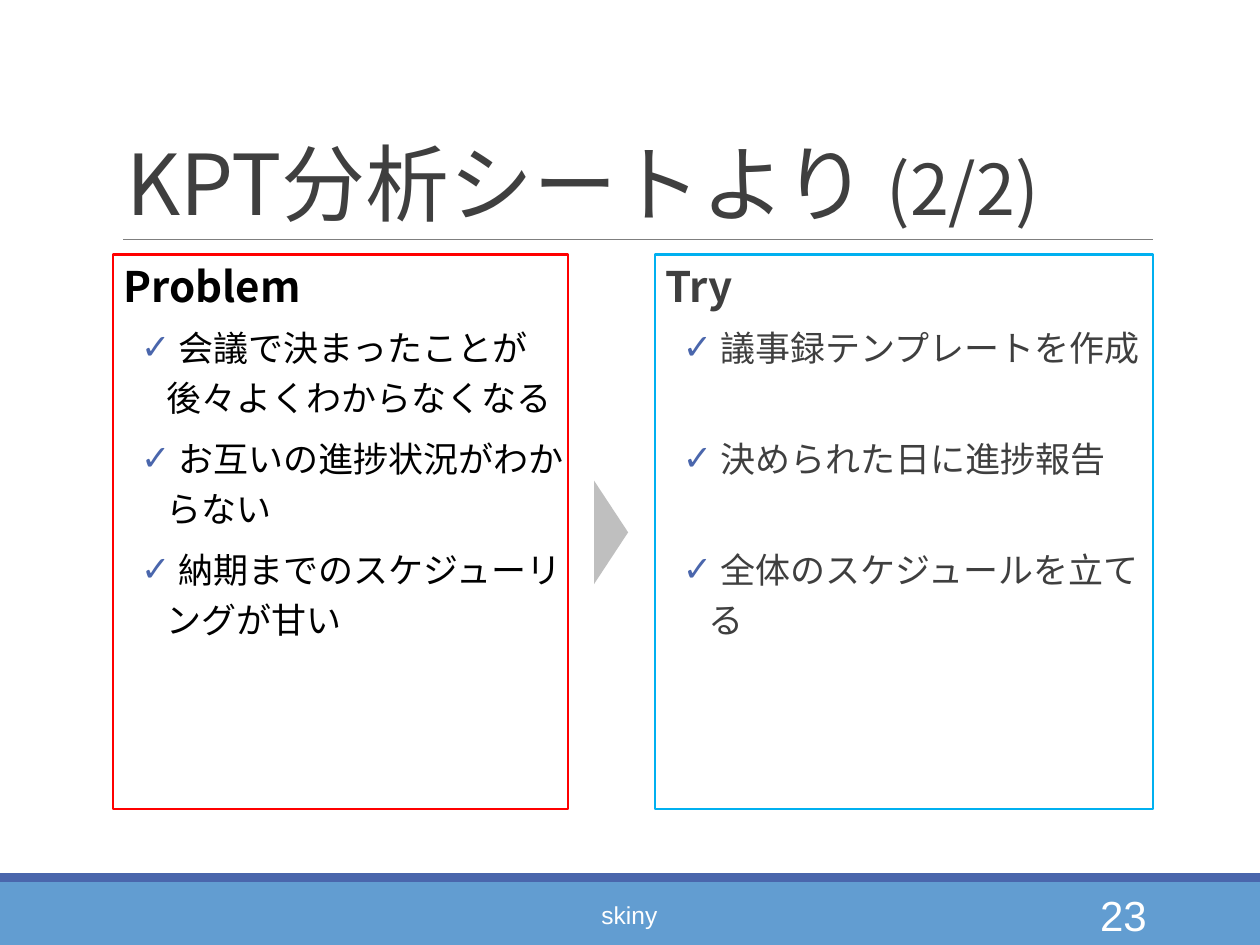
from lxml.etree import SubElement
from pptx import Presentation
from pptx.dml.color import RGBColor
from pptx.enum.shapes import MSO_CONNECTOR, MSO_SHAPE
from pptx.enum.text import MSO_ANCHOR, MSO_AUTO_SIZE, PP_ALIGN
from pptx.oxml.ns import qn
from pptx.util import Inches, Pt

BLACK = RGBColor(0x00, 0x00, 0x00)
DARK = RGBColor(0x3F, 0x3F, 0x3F)
GRAY = RGBColor(0x7F, 0x7F, 0x7F)
LIGHT_GRAY = RGBColor(0xBF, 0xBF, 0xBF)
WHITE = RGBColor(0xFF, 0xFF, 0xFF)
RED = RGBColor(0xFF, 0x00, 0x00)
CYAN = RGBColor(0x00, 0xB0, 0xF0)
BLUE = RGBColor(0x62, 0x9D, 0xD1)
NAVY = RGBColor(0x4A, 0x66, 0xAC)

JAPANESE = "Noto Sans CJK JP"
LATIN = "Arial"
LINE = 28.7

TITLE = [("KPT分析シートより ", 48), ("(2/2)", 40)]
# "gap" is the extra room in points that keeps each Try level with its Problem.
PANELS = [
    {"heading": "Problem", "left": 0.9, "width": 3.61, "border": RED, "color": BLACK, "gap": 0,
     "items": ["会議で決まったことが後々よくわからなくなる",
               "お互いの進捗状況がわからない",
               "納期までのスケジューリングが甘い"]},
    {"heading": "Try", "left": 5.2, "width": 3.95, "border": CYAN, "color": DARK, "gap": LINE,
     "items": ["議事録テンプレートを作成",
               "決められた日に進捗報告",
               "全体のスケジュールを立てる"]},
]
BANDS = [(7, 0.5, BLUE), (6.93, 0.07, NAVY)]
FOOTERS = [("skiny", 3.02, 3.95, 14, PP_ALIGN.CENTER),
           ("23", 8.12, 1.08, 24, PP_ALIGN.RIGHT)]


def add_text(paragraph, text, size, color, font=JAPANESE, bold=False):
    run = paragraph.add_run()
    run.text = text
    run.font.size = Pt(size)
    run.font.bold = bold
    run.font.color.rgb = color
    run.font.name = font
    SubElement(run.font._element, qn("a:ea"), typeface=font)


def place(shape, left, top, width, height):
    shape.left, shape.top = Inches(left), Inches(top)
    shape.width, shape.height = Inches(width), Inches(height)


def set_layout(paragraph, margin, indent, after, before=0, bullet=None):
    """Set indents, spacing and bullet of a list paragraph."""
    paragraph.line_spacing = Pt(LINE)
    paragraph.space_before = Pt(before)
    paragraph.space_after = Pt(after)
    properties = paragraph._p.get_or_add_pPr()
    properties.set("marL", str(Inches(margin)))
    properties.set("indent", str(Inches(indent)))
    if bullet:
        color = SubElement(properties, qn("a:buClr"))
        SubElement(color, qn("a:srgbClr"), val=str(NAVY))
        SubElement(properties, qn("a:buChar"), char=bullet)
    else:
        SubElement(properties, qn("a:buNone"))


def add_filled(slide, kind, left, top, width, height, color):
    shape = slide.shapes.add_shape(kind, Inches(left), Inches(top), Inches(width), Inches(height))
    shape.shadow.inherit = False
    shape.fill.solid()
    shape.fill.fore_color.rgb = color
    shape.line.fill.background()
    return shape


def fill_title(title):
    place(title, 0.9, 0.31, 8.25, 1.59)
    frame = title.text_frame
    frame.auto_size = MSO_AUTO_SIZE.NONE
    frame.vertical_anchor = MSO_ANCHOR.BOTTOM
    paragraph = frame.paragraphs[0]
    paragraph.alignment = PP_ALIGN.LEFT
    paragraph.line_spacing = 0.85
    for text, size in TITLE:
        add_text(paragraph, text, size, DARK)


def fill_panel(body, panel):
    place(body, panel["left"], 2.02, panel["width"], 4.4)
    body.line.color.rgb = panel["border"]
    body.line.width = Pt(1.25)
    frame = body.text_frame
    frame.auto_size = MSO_AUTO_SIZE.NONE
    frame.margin_left = frame.margin_right = 0
    heading = frame.paragraphs[0]
    set_layout(heading, 0.08, 0, after=2)
    add_text(heading, panel["heading"], 24, panel["color"], bold=True)
    for item in panel["items"]:
        paragraph = frame.add_paragraph()
        paragraph.level = 1
        set_layout(paragraph, 0.42, -0.2, after=4 + panel["gap"], before=2, bullet="✓")
        add_text(paragraph, " " + item, 20, panel["color"])


def main():
    presentation = Presentation()
    presentation.slide_width, presentation.slide_height = Inches(10), Inches(7.5)
    slide = presentation.slides.add_slide(presentation.slide_layouts[3])

    for top, height, color in BANDS:
        add_filled(slide, MSO_SHAPE.RECTANGLE, 0, top, 10, height, color)
    rule = slide.shapes.add_connector(
        MSO_CONNECTOR.STRAIGHT, Inches(0.98), Inches(1.9), Inches(9.15), Inches(1.9))
    rule.line.color.rgb = GRAY
    rule.line.width = Pt(0.5)
    SubElement(rule._element.spPr, qn("a:effectLst"))

    fill_title(slide.shapes.title)
    for index, panel in enumerate(PANELS, start=1):
        fill_panel(slide.placeholders[index], panel)

    arrow = add_filled(slide, MSO_SHAPE.ISOSCELES_TRIANGLE, 4.44, 4.09, 0.82, 0.27, LIGHT_GRAY)
    arrow.rotation = 90

    for text, left, width, size, alignment in FOOTERS:
        box = slide.shapes.add_textbox(Inches(left), Inches(7.06), Inches(width), Inches(0.4))
        frame = box.text_frame
        frame.word_wrap = True
        frame.vertical_anchor = MSO_ANCHOR.MIDDLE
        frame.paragraphs[0].alignment = alignment
        add_text(frame.paragraphs[0], text, size, WHITE, font=LATIN)

    presentation.save("out.pptx")


if __name__ == "__main__":
    main()
